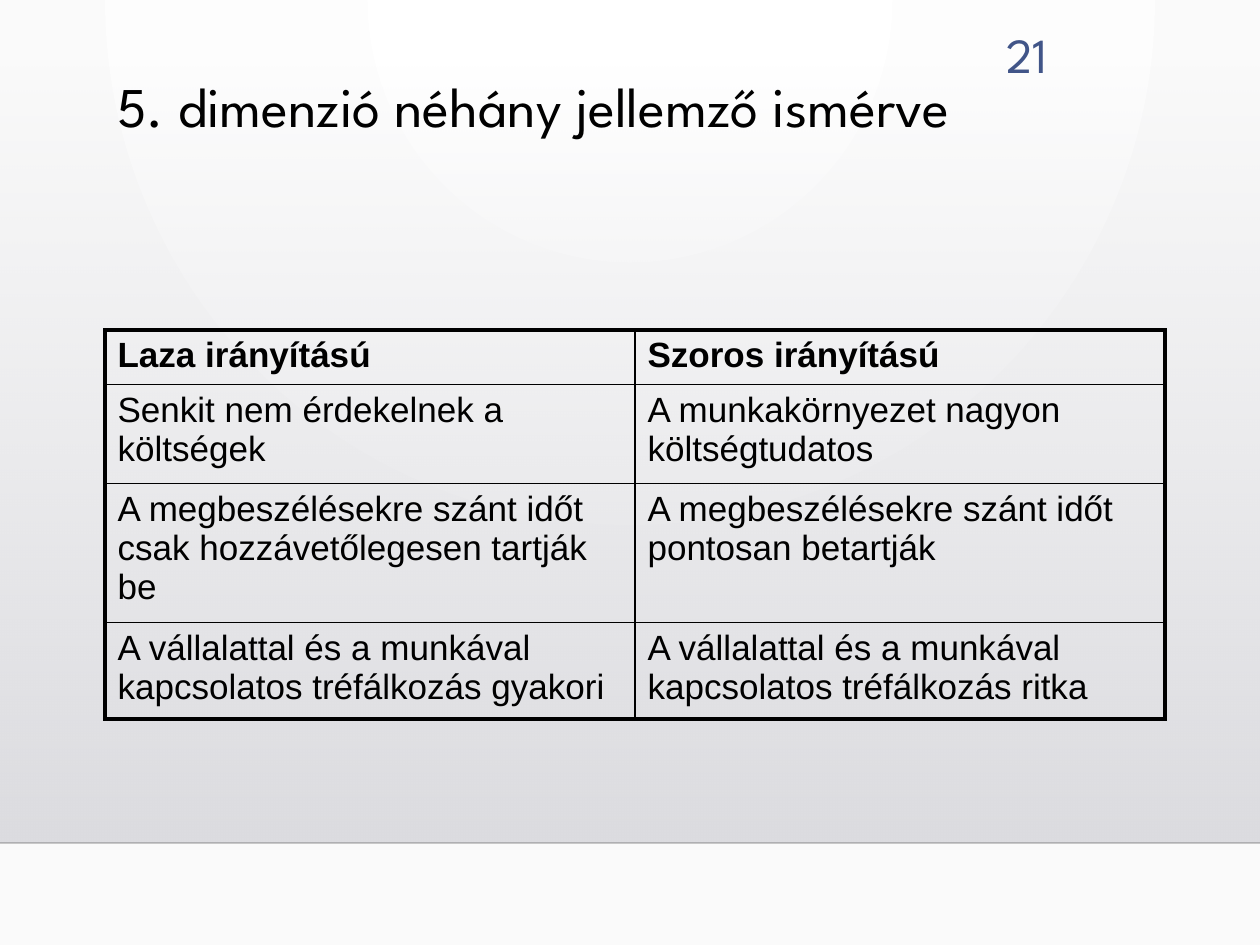
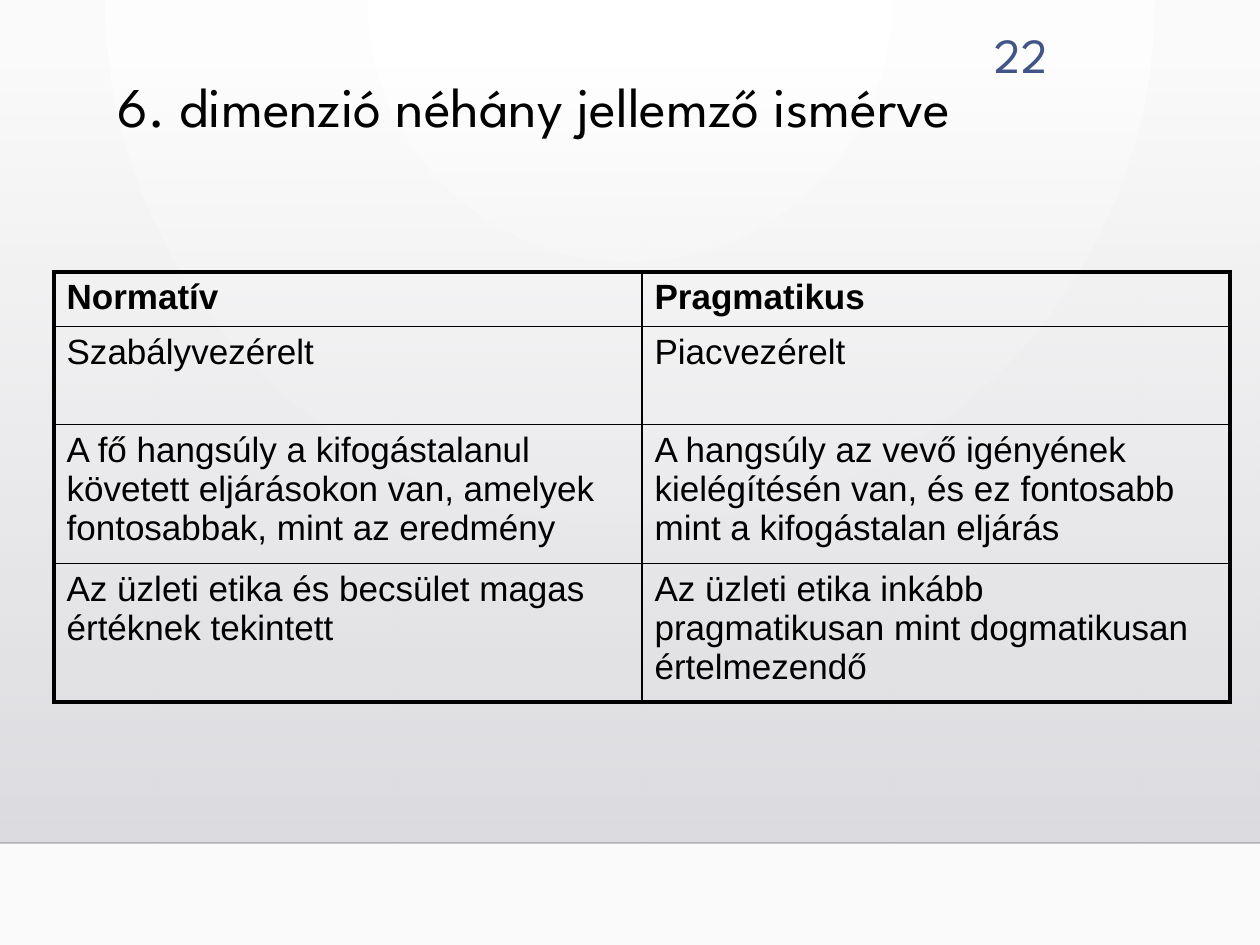
from lxml import etree
from pptx import Presentation
from pptx.dml.color import RGBColor
from pptx.enum.shapes import MSO_CONNECTOR, MSO_SHAPE
from pptx.enum.text import MSO_ANCHOR, PP_ALIGN
from pptx.oxml import parse_xml
from pptx.oxml.ns import nsdecls, qn
from pptx.util import Pt

PX = 9144000 // 1260
W, H = 1260, 945
BLACK, BLUE = "000000", "415588"
THIN, THICK = 1, 2.25
HEADING, BODY = "League Spartan", "Arial"

SLIDES = [
    dict(number="21", title="5. dimenzió néhány jellemző ismérve",
         left=105, top=330, col_width=530, heights=[52, 99, 129, 91],
         rows=[
             ("Laza irányítású", "Szoros irányítású"),
             ("Senkit nem érdekelnek a költségek",
              "A munkakörnyezet nagyon költségtudatos"),
             ("A megbeszélésekre szánt időt csak hozzávetőlegesen tartják be",
              "A megbeszélésekre szánt időt pontosan betartják"),
             ("A vállalattal és a munkával kapcsolatos tréfálkozás gyakori",
              "A vállalattal és a munkával kapcsolatos tréfálkozás ritka"),
         ]),
    dict(number="22", title="6. dimenzió néhány jellemző ismérve",
         left=54, top=272, col_width=588, heights=[52, 98, 130, 130],
         rows=[
             ("Normatív", "Pragmatikus"),
             ("Szabályvezérelt", "Piacvezérelt"),
             ("A fő hangsúly a kifogástalanul követett eljárásokon van, "
              "amelyek fontosabbak, mint az eredmény",
              "A hangsúly az vevő igényének kielégítésén van, "
              "és ez fontosabb mint a kifogástalan eljárás"),
             ("Az üzleti etika és becsület magas értéknek tekintett",
              "Az üzleti etika inkább pragmatikusan mint dogmatikusan "
              "értelmezendő"),
         ]),
]


def px(*lengths):
    return [n * PX for n in lengths]


def rgb(value):
    return RGBColor.from_string(value)


def set_gradient(parent, stops, direction):
    old = next(parent.iter(qn("a:gradFill")))
    gs = "".join(
        f'<a:gs pos="{pos}"><a:srgbClr val="{color}">'
        f'<a:alpha val="{alpha}"/></a:srgbClr></a:gs>'
        for pos, color, alpha in stops)
    new = parse_xml(f'<a:gradFill {nsdecls("a")} rotWithShape="1">'
                    f'<a:gsLst>{gs}</a:gsLst>{direction}</a:gradFill>')
    old.getparent().replace(old, new)


def write(tf, text, size, font, color=BLACK, bold=False, **layout):
    p = tf.paragraphs[0]
    for name, value in layout.items():
        setattr(p, name, value)
    r = p.add_run()
    r.text = text
    for name, value in dict(size=Pt(size), name=font, bold=bold).items():
        setattr(r.font, name, value)
    r.font.color.rgb = rgb(color)


def add_text(s, box, text, size, font, **layout):
    tf = s.shapes.add_textbox(*px(*box)).text_frame
    tf.word_wrap = True
    tf.vertical_anchor = MSO_ANCHOR.TOP
    write(tf, text, size, font, **layout)


def add_backdrop(s, top, bottom):
    s.background.fill.gradient()
    set_gradient(s.element, [(0, "FFFFFF", 100000), (100000, "FAFAFA", 100000)],
                 '<a:path path="circle"><a:fillToRect l="43000" t="0" '
                 'r="43000" b="100000"/></a:path>')
    band = s.shapes.add_shape(MSO_SHAPE.RECTANGLE, *px(0, top, W, bottom - top))
    band.shadow.inherit = False
    band.line.fill.background()
    band.fill.gradient()
    set_gradient(band.element.spPr,
                 [(0, "DCDCE0", 0), (100000, "DEDEE2", 100000)],
                 '<a:lin ang="5400000" scaled="0"/>')
    edge = s.shapes.add_connector(MSO_CONNECTOR.STRAIGHT,
                                  *px(0, bottom, W, bottom))
    edge.line.width = Pt(1)
    edge.line.color.rgb = rgb("000001")
    spPr = edge.element.spPr
    alpha = etree.SubElement(next(spPr.iter(qn("a:srgbClr"))), qn("a:alpha"))
    alpha.set("val", "20000")
    etree.SubElement(spPr, qn("a:effectLst"))


def set_borders(cell, widths):
    tcPr = cell._tc.get_or_add_tcPr()
    for side, width in widths.items():
        tcPr.append(parse_xml(
            f'<a:{side} {nsdecls("a")} w="{Pt(width)}"><a:solidFill>'
            f'<a:srgbClr val="{BLACK}"/></a:solidFill></a:{side}>'))


def add_comparison(s, left, top, col_width, heights, rows):
    n, m = len(rows), len(rows[0])
    table = s.shapes.add_table(
        n, m, *px(left, top, m * col_width, sum(heights))).table
    table.first_row = table.horz_banding = False
    for col in table.columns:
        col.width = col_width * PX
    for i, (row, height) in enumerate(zip(rows, heights)):
        table.rows[i].height = height * PX
        for j, text in enumerate(row):
            cell = table.cell(i, j)
            outer = dict(lnL=j == 0, lnR=j == m - 1, lnT=i == 0, lnB=i == n - 1)
            set_borders(cell, {side: THICK if is_outer else THIN
                               for side, is_outer in outer.items()})
            cell.fill.background()
            write(cell.text_frame, text, 20, BODY, bold=i == 0)


def add_dimension_slide(prs, number, title, **comparison):
    s = prs.slides.add_slide(prs.slide_layouts[6])
    add_backdrop(s, 64, 843)
    add_text(s, (950, 18, 110, 69), number, 28, HEADING, color=BLUE,
             alignment=PP_ALIGN.RIGHT)
    add_text(s, (105, 73, 1061, 116), title, 32, HEADING, line_spacing=0.9)
    add_comparison(s, **comparison)


def main():
    prs = Presentation()
    prs.slide_width, prs.slide_height = px(W, H)
    for content in SLIDES:
        add_dimension_slide(prs, **content)
    prs.save("out.pptx")


if __name__ == "__main__":
    main()
